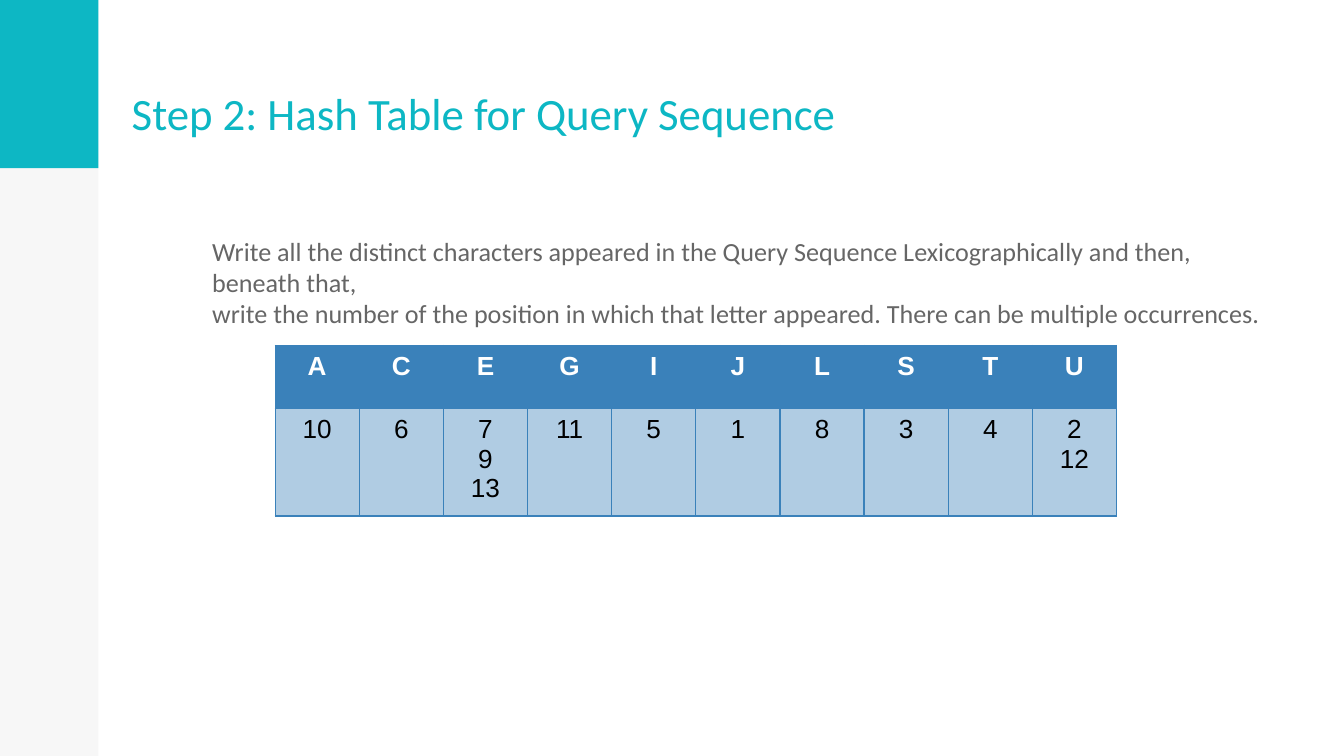
"""Build the slide that shows the hash table of a query sequence."""
from lxml import etree
from pptx import Presentation
from pptx.dml.color import RGBColor
from pptx.enum import shapes, text
from pptx.oxml import ns
from pptx.util import Cm, Pt

TEAL, BLUE, GREY = "0DB7C4", "3A81BA", "666666"


def paint(fill, color, parent, opacity=100):
    fill.solid()
    fill.fore_color.rgb = RGBColor.from_string(color)
    if opacity < 100:
        srgb = parent.find(ns.qn("a:solidFill")).find(ns.qn("a:srgbClr"))
        etree.SubElement(srgb, ns.qn("a:alpha"), val=str(opacity * 1000))


def style(frame, size, font, color, bold=False, align=text.PP_ALIGN.LEFT):
    for paragraph in frame.paragraphs:
        paragraph.alignment = align
        for run in paragraph.runs:
            run.font.size = Pt(size)
            run.font.name = font
            run.font.bold = bold
            run.font.color.rgb = RGBColor.from_string(color)


presentation = Presentation()
presentation.slide_width = Cm(25.4)
presentation.slide_height = Cm(14.29)
slide = presentation.slides.add_slide(presentation.slide_layouts[6])

for height, color, opacity in ((14.29, "000000", 3), (3.18, TEAL, 100)):
    band = slide.shapes.add_shape(
        shapes.MSO_SHAPE.RECTANGLE, 0, 0, Cm(1.86), Cm(height))
    band.shadow.inherit = False
    band.line.fill.background()
    paint(band.fill, color, band.fill._xPr, opacity)

title = slide.shapes.add_textbox(Cm(2.24), Cm(1.42), Cm(19.23), Cm(1.47))
title_frame = title.text_frame
title_frame.word_wrap = True
title_frame.vertical_anchor = text.MSO_ANCHOR.BOTTOM
title_frame.margin_top = title_frame.margin_bottom = Cm(0.25)
title_frame.text = "Step 2: Hash Table for Query Sequence"
style(title_frame, 24, "Calibri", TEAL)

positions = {
    "A": "10", "C": "6", "E": "7\n9\n13", "G": "11", "I": "5",
    "J": "1", "L": "8", "S": "3", "T": "4", "U": "2\n12",
}
frame = slide.shapes.add_table(
    2, len(positions), Cm(5.2), Cm(6.53), Cm(15.9), Cm(3.22))
table = frame.table
for row, height in zip(table.rows, (1.19, 2.03)):
    row.height = Cm(height)
for column in table.columns:
    column.width = Cm(1.59)

for column, entry in enumerate(positions.items()):
    for row, content in enumerate(entry):
        header = row == 0
        cell = table.cell(row, column)
        cell.text_frame.text = content
        style(cell.text_frame, 14, "Arial", "FFFFFF" if header else "000000",
              header, text.PP_ALIGN.CENTER)
        properties = cell._tc.get_or_add_tcPr()
        for side in ("L", "R", "T", "B"):
            border = etree.SubElement(
                properties, ns.qn(f"a:ln{side}"), w=str(Pt(0.75)))
            border_fill = etree.SubElement(border, ns.qn("a:solidFill"))
            etree.SubElement(border_fill, ns.qn("a:srgbClr"), val=BLUE)
        paint(cell.fill, BLUE, properties, 100 if header else 40)

instruction = slide.shapes.add_textbox(Cm(3.76), Cm(4.32), Cm(20.45), Cm(1.45))
instruction_frame = instruction.text_frame
instruction_frame.word_wrap = True
instruction_frame.text = (
    "Write all the distinct characters appeared in the Query Sequence "
    "Lexicographically and then, beneath that,\n"
    "write the number of the position in which that letter appeared. "
    "There can be multiple occurrences.")
style(instruction_frame, 14, "Calibri", GREY)

presentation.save("out.pptx")
